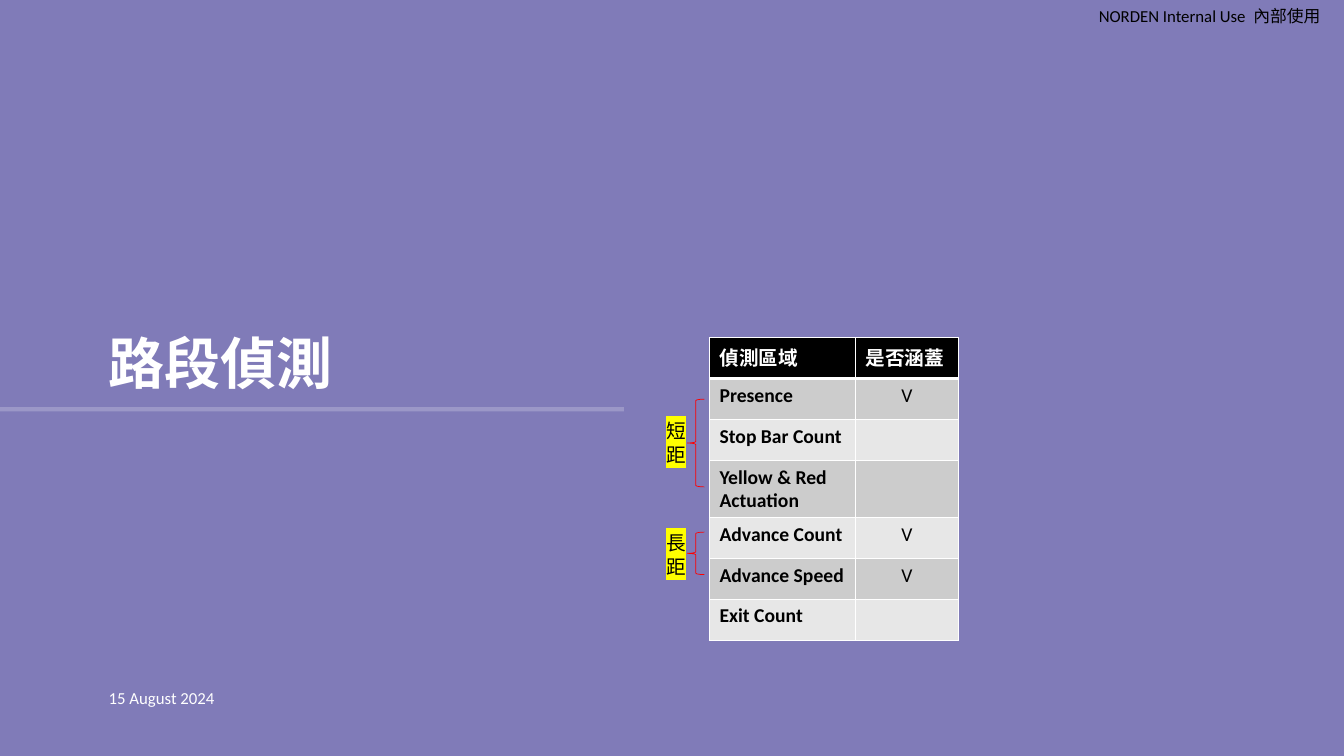
from lxml import etree
from pptx import Presentation
from pptx.dml.color import RGBColor
from pptx.enum.shapes import MSO_CONNECTOR, MSO_SHAPE
from pptx.enum.text import MSO_ANCHOR, PP_ALIGN
from pptx.oxml.ns import qn
from pptx.util import Cm, Pt

STRAIGHT = MSO_CONNECTOR.STRAIGHT
LEFT_BRACE = MSO_SHAPE.LEFT_BRACE
TOP, MIDDLE, BOTTOM = MSO_ANCHOR.TOP, MSO_ANCHOR.MIDDLE, MSO_ANCHOR.BOTTOM
LEFT, CENTER, RIGHT = PP_ALIGN.LEFT, PP_ALIGN.CENTER, PP_ALIGN.RIGHT

PURPLE = RGBColor(0x80, 0x7B, 0xB8)
WHITE = RGBColor(0xFF, 0xFF, 0xFF)
BLACK = RGBColor(0x00, 0x00, 0x00)
RED = RGBColor(0xFF, 0x00, 0x00)
YELLOW = RGBColor(0xFF, 0xFF, 0x00)
DARK_BAND = RGBColor(0xCC, 0xCC, 0xCC)
LIGHT_BAND = RGBColor(0xE7, 0xE7, 0xE7)

LATIN_FONT = "Calibri"
CJK_FONT = "Noto Sans CJK SC"

HEADER = ("偵測區域", "是否涵蓋")
ZONES = [
    ("Presence", "V"),
    ("Stop Bar Count", ""),
    ("Yellow & Red Actuation", ""),
    ("Advance Count", "V"),
    ("Advance Speed", "V"),
    ("Exit Count", ""),
]
RANGES = [
    ("短距", 10.44, 10.06, 2.21),
    ("長距", 13.26, 13.41, 1.07),
]


def format_paragraph(para, size, color, bold=False, align=LEFT, name=LATIN_FONT):
    """Set the alignment and font of one paragraph."""
    para.alignment = align
    font = para.font
    font.size, font.bold, font.name = Pt(size), bold, name
    font.color.rgb = color


def add_label(page, text, left, top, width, height, size, color, align=LEFT, anchor=TOP):
    """Add a wrapping text box with one paragraph."""
    box = page.shapes.add_textbox(Cm(left), Cm(top), Cm(width), Cm(height))
    frame = box.text_frame
    frame.word_wrap = True
    frame.vertical_anchor = anchor
    para = frame.paragraphs[0]
    para.text = text
    format_paragraph(para, size, color, align=align)
    return box


def add_banner(page):
    """Add the usage notice in the top right corner."""
    frame = add_label(page, "NORDEN Internal Use  內部使用", 27.51, 0, 6.37, 0.81,
                      12, BLACK, RIGHT, MIDDLE).text_frame
    frame.margin_left = frame.margin_top = frame.margin_bottom = 0
    frame.margin_right = Cm(0.6)


def add_rule(page):
    """Add the faint line under the title."""
    rule = page.shapes.add_connector(STRAIGHT, Cm(-0.08), Cm(10.31), Cm(15.72), Cm(10.31))
    rule.line.width = Pt(3)
    rule.line.color.rgb = WHITE
    properties = rule._element.spPr
    color = properties.find(".//" + qn("a:srgbClr"))
    etree.SubElement(color, qn("a:alpha"), val="21000")
    etree.SubElement(properties, qn("a:effectLst"))


def fill_title(page, text):
    """Move and format the title placeholder."""
    title = page.shapes.title
    title.left, title.top, title.width, title.height = Cm(2.49), Cm(5.26), Cm(13.11), Cm(4.85)
    title.text_frame.vertical_anchor = BOTTOM
    para = title.text_frame.paragraphs[0]
    para.text = text
    para.line_spacing = 0.9
    format_paragraph(para, 40, WHITE, bold=True, name=CJK_FONT)


def add_border(cell, side, points):
    """Add a white border to one side of a cell."""
    border = etree.SubElement(cell._tc.get_or_add_tcPr(), qn("a:ln" + side), w=str(Pt(points)))
    fill = etree.SubElement(border, qn("a:solidFill"))
    etree.SubElement(fill, qn("a:srgbClr"), val=str(WHITE))


def add_zone_table(page):
    """Add the table of detection zones and their coverage."""
    rows = [HEADER] + ZONES
    table = page.shapes.add_table(len(rows), 2, Cm(17.88), Cm(8.51),
                                  Cm(6.27), Cm(1.03 * len(rows))).table
    table.columns[0].width, table.columns[1].width = Cm(3.68), Cm(2.59)
    for i, row in enumerate(rows):
        band = BLACK if i == 0 else DARK_BAND if i % 2 else LIGHT_BAND
        for j, text in enumerate(row):
            cell = table.cell(i, j)
            for side, points in (("L", 1), ("R", 1), ("T", 3 if i == 1 else 1),
                                 ("B", 3 if i == 0 else 1)):
                add_border(cell, side, points)
            cell.fill.solid()
            cell.fill.fore_color.rgb = band
            para = cell.text_frame.paragraphs[0]
            para.text = text
            format_paragraph(para, 14, BLACK if i else WHITE, bold=i == 0 or j == 0,
                             align=CENTER if i and j else LEFT)


def add_range(page, text, label_top, brace_top, brace_height):
    """Add a highlighted range label and the brace beside it."""
    label = add_label(page, text, 16.54, label_top, 1.02, 1.45, 14, BLACK)
    span = label.text_frame.paragraphs[0].runs[0]
    highlight = etree.SubElement(span._r.get_or_add_rPr(), qn("a:highlight"))
    etree.SubElement(highlight, qn("a:srgbClr"), val=str(YELLOW))
    brace = page.shapes.add_shape(LEFT_BRACE, Cm(17.32), Cm(brace_top), Cm(0.43), Cm(brace_height))
    brace.shadow.inherit = False
    brace.fill.background()
    brace.line.color.rgb = RED
    brace.line.width = Pt(0.5)


def main():
    """Build the section slide and save it."""
    deck = Presentation()
    deck.slide_width, deck.slide_height = Cm(33.87), Cm(19.05)
    page = deck.slides.add_slide(deck.slide_layouts[5])
    page.background.fill.solid()
    page.background.fill.fore_color.rgb = PURPLE
    add_banner(page)
    add_rule(page)
    add_label(page, "15 August 2024", 2.49, 17.07, 7.62, 1.02, 12, WHITE, anchor=MIDDLE)
    fill_title(page, "路段偵測")
    add_zone_table(page)
    for detection_range in RANGES:
        add_range(page, *detection_range)
    deck.save("out.pptx")


if __name__ == "__main__":
    main()
